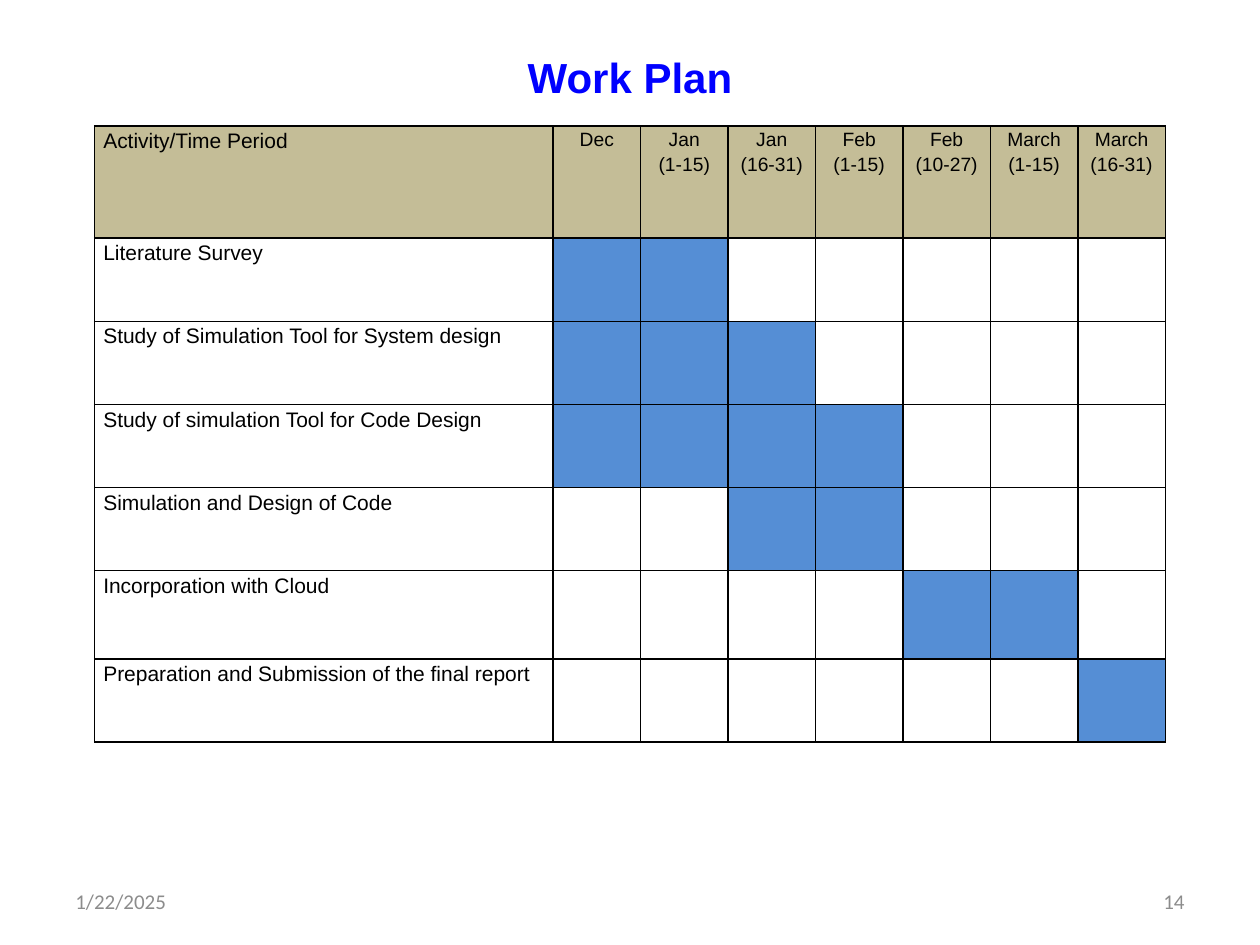
from lxml import etree
from pptx import Presentation
from pptx.dml.color import RGBColor
from pptx.enum import text
from pptx.oxml.ns import qn
from pptx.util import Inches, Pt

HEADER_FILL, ACTIVE_FILL, GREY = "C4BD97", "558ED5", "8C8C8C"
PERIODS = ["Dec", "Jan\n(1-15)", "Jan\n(16-31)", "Feb\n(1-15)",
           "Feb\n(10-27)", "March\n(1-15)", "March\n(16-31)"]
# Activity, first and last active period
ACTIVITIES = [
    ("Literature Survey", 0, 1),
    ("Study of Simulation Tool for System design", 0, 2),
    ("Study of simulation Tool for Code Design", 0, 3),
    ("Simulation and Design of Code", 2, 3),
    ("Incorporation with Cloud", 4, 5),
    ("Preparation and Submission of the final report", 6, 6),
]
ACTIVITY_WIDTH = 3.64
ROW_HEIGHTS = [0.89, 0.66, 0.66, 0.66, 0.66, 0.7, 0.66]


def color(value):
    return RGBColor.from_string(value)


def write(frame, content, size=12, font="Arial", fill="000000", bold=False,
          align=text.PP_ALIGN.LEFT, spacing=None):
    """Fill a text frame, one paragraph for each line of content."""
    for index, line in enumerate(content.split("\n")):
        para = frame.paragraphs[0] if index == 0 else frame.add_paragraph()
        para.alignment = align
        para.line_spacing = spacing
        span = para.add_run()
        span.text = line
        span.font.size, span.font.name, span.font.bold = Pt(size), font, bold
        span.font.color.rgb = color(fill)


def add_title(page, left, top, width, height):
    title = page.shapes.title
    title.left, title.top = Inches(left), Inches(top)
    title.width, title.height = Inches(width), Inches(height)
    title.text_frame.vertical_anchor = text.MSO_ANCHOR.MIDDLE
    write(title.text_frame, "Work Plan", size=24, fill="0000FF", bold=True,
          align=text.PP_ALIGN.CENTER)


def format_cell(cell, fill=None):
    """Set the margins, black borders and fill of a cell."""
    cell.margin_left = cell.margin_right = Inches(0.07)
    cell.margin_top = cell.margin_bottom = 0
    properties = cell._tc.get_or_add_tcPr()
    for side in ("a:lnL", "a:lnR", "a:lnT", "a:lnB"):
        border = etree.SubElement(properties, qn(side), w=str(Pt(1)))
        solid = etree.SubElement(border, qn("a:solidFill"))
        etree.SubElement(solid, qn("a:srgbClr"), val="000000")
    if fill:
        cell.fill.solid()
        cell.fill.fore_color.rgb = color(fill)
    else:
        cell.fill.background()


def add_schedule(page, left, top, width, height):
    table = page.shapes.add_table(
        len(ACTIVITIES) + 1, len(PERIODS) + 1,
        Inches(left), Inches(top), Inches(width), Inches(height)).table
    table.first_row = table.horz_banding = False
    period_width = (width - ACTIVITY_WIDTH) / len(PERIODS)
    for index, column in enumerate(table.columns):
        column.width = Inches(period_width if index else ACTIVITY_WIDTH)
    for row, row_height in zip(table.rows, ROW_HEIGHTS):
        row.height = Inches(row_height)

    for index, label in enumerate(["Activity/Time Period"] + PERIODS):
        cell = table.cell(0, index)
        format_cell(cell, HEADER_FILL)
        write(cell.text_frame, label, size=11 if index else 12, spacing=1.15,
              align=text.PP_ALIGN.CENTER if index else text.PP_ALIGN.LEFT)

    for row, (activity, first, last) in enumerate(ACTIVITIES, 1):
        label_cell = table.cell(row, 0)
        format_cell(label_cell)
        write(label_cell.text_frame, activity, spacing=1.15)
        for period in range(len(PERIODS)):
            active = first <= period <= last
            format_cell(table.cell(row, period + 1),
                        ACTIVE_FILL if active else None)


def add_footer(page, left, top, width, height):
    """Place the date at the left and the page number at the right."""
    part_width = 2.33
    parts = [("1/22/2025", left, text.PP_ALIGN.LEFT),
             ("14", left + width - part_width, text.PP_ALIGN.RIGHT)]
    for content, part_left, align in parts:
        box = page.shapes.add_textbox(Inches(part_left), Inches(top),
                                      Inches(part_width), Inches(height))
        box.text_frame.word_wrap = True
        box.text_frame.vertical_anchor = text.MSO_ANCHOR.MIDDLE
        write(box.text_frame, content, font="Calibri", fill=GREY, align=align)


def main():
    deck = Presentation()
    deck.slide_width, deck.slide_height = Inches(10), Inches(7.5)
    page = deck.slides.add_slide(deck.slide_layouts[5])
    add_title(page, 0.5, 0.3, 9, 0.62)
    add_schedule(page, 0.75, 1, 8.5, sum(ROW_HEIGHTS))
    add_footer(page, 0.5, 6.95, 9, 0.4)
    deck.save("out.pptx")


if __name__ == "__main__":
    main()
